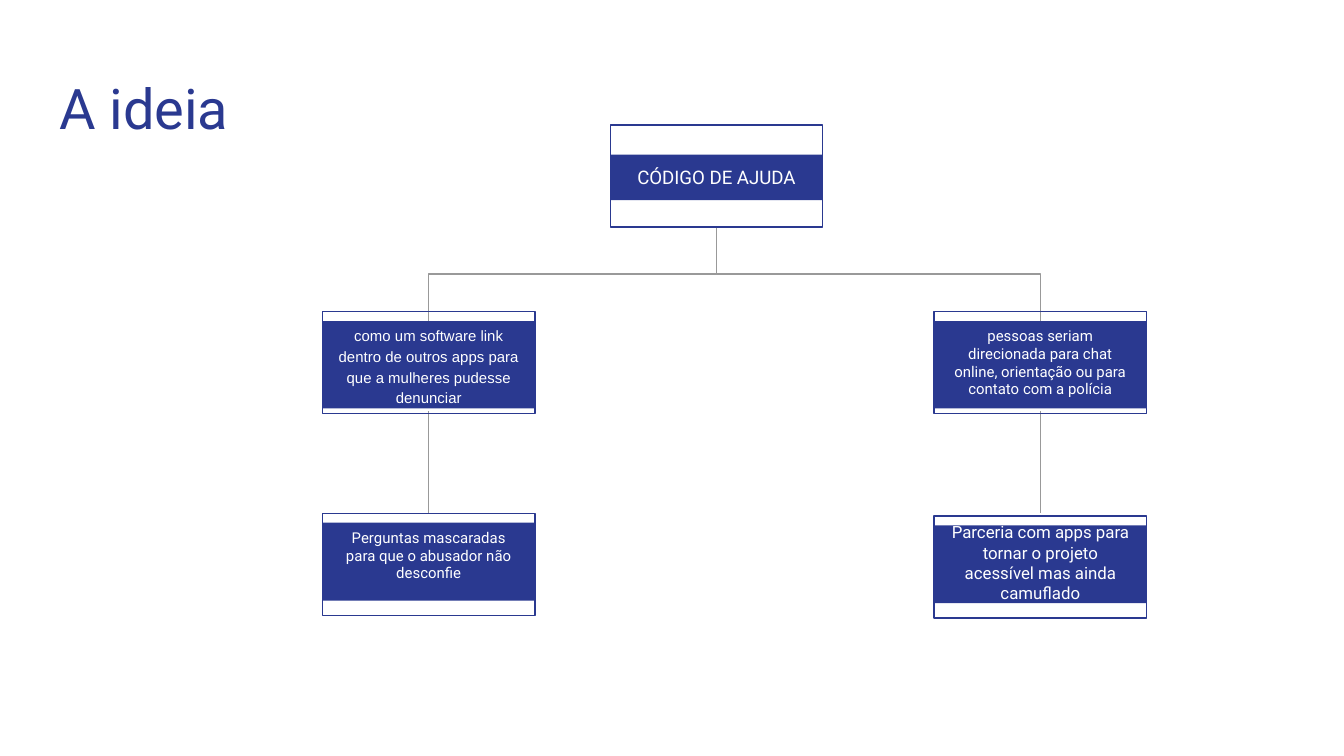
from dataclasses import dataclass

from lxml.etree import SubElement
from pptx import Presentation
from pptx.dml.color import RGBColor
from pptx.enum.shapes import MSO_CONNECTOR as Connector, MSO_SHAPE as Shape
from pptx.enum.text import MSO_ANCHOR as Anchor, MSO_AUTO_SIZE as AutoSize, PP_ALIGN as Align
from pptx.oxml.ns import qn
from pptx.util import Pt


@dataclass(frozen=True)
class Theme:
    navy: RGBColor = RGBColor(0x2A, 0x39, 0x90)
    white: RGBColor = RGBColor(0xFF, 0xFF, 0xFF)
    gray: RGBColor = RGBColor(0x99, 0x99, 0x99)
    font: str = "Roboto"
    title_size: float = 30
    root_size: float = 10
    branch_size: float = 8
    partner_size: float = 9
    line_width: float = 0.75
    inset: float = 7.2


@dataclass(frozen=True)
class Card:
    """A framed box with a filled band; all lengths are points."""
    text: str
    left: float
    top: float
    band_offset: float
    band_height: float
    label_top: float
    label_height: float
    size: float
    font: str = "Roboto"
    spacing: float = 1.0


THEME = Theme()
CARD_W, CARD_H = 113.8, 54.7
ROOT_X, LEFT_X, RIGHT_X = 326.9, 172.8, 500.4
ROOT_Y, BRANCH_Y, LEAF_Y = 67, 167, 275

CARDS = [
    Card("CÓDIGO DE AJUDA", ROOT_X, ROOT_Y, 15.8, 24.5, 87.1, 15.1, THEME.root_size),
    Card("como um software link dentro de outros apps para que a mulheres pudesse denunciar",
         LEFT_X, BRANCH_Y, 5, 46.8, 174.8, 42, THEME.branch_size, "Arial", 1.15),
    Card("pessoas seriam direcionada para chat online, orientação ou para contato com a polícia",
         RIGHT_X, BRANCH_Y, 5, 46.8, 174, 40, THEME.branch_size),
    Card("Parceria com apps para tornar o projeto acessível mas ainda camuflado",
         RIGHT_X, LEAF_Y + 1.4, 5, 41.8, 276.5, 49.7, THEME.partner_size),
    Card("Perguntas mascaradas para que o abusador não desconfie",
         LEFT_X, LEAF_Y, 5, 41.8, 279.4, 36, THEME.branch_size),
]


def write(frame, text: str, size: float, font: str, color: RGBColor,
          align: Align, anchor: Anchor, spacing: float = 1.0, inset_y: float = 0) -> None:
    frame.word_wrap = True
    frame.auto_size = AutoSize.NONE
    frame.vertical_anchor = anchor
    frame.margin_left = frame.margin_right = Pt(THEME.inset)
    frame.margin_top = frame.margin_bottom = Pt(inset_y)
    paragraph = frame.paragraphs[0]
    paragraph.alignment = align
    paragraph.line_spacing = spacing
    run = paragraph.add_run()
    run.text = text
    run.font.size, run.font.name = Pt(size), font
    run.font.color.rgb = color


def add_rect(shapes, left: float, top: float, height: float, filled: bool) -> None:
    rect = shapes.add_shape(Shape.RECTANGLE, Pt(left), Pt(top), Pt(CARD_W), Pt(height))
    rect.shadow.inherit = False
    if filled:
        rect.fill.solid()
        rect.fill.fore_color.rgb = THEME.navy
        rect.line.fill.background()
    else:
        rect.fill.background()
        rect.line.color.rgb = THEME.navy
        rect.line.width = Pt(THEME.line_width)


def add_card(shapes, card: Card) -> None:
    add_rect(shapes, card.left, card.top, CARD_H, filled=False)
    add_rect(shapes, card.left, card.top + card.band_offset, card.band_height, filled=True)
    label = shapes.add_textbox(Pt(card.left), Pt(card.label_top), Pt(CARD_W), Pt(card.label_height))
    write(label.text_frame, card.text, card.size, card.font, THEME.white,
          Align.CENTER, Anchor.MIDDLE, card.spacing)


def add_line(shapes, kind: Connector, x1: float, y1: float, x2: float, y2: float):
    line = shapes.add_connector(kind, Pt(x1), Pt(y1), Pt(x2), Pt(y2))
    line.line.color.rgb = THEME.gray
    line.line.width = Pt(THEME.line_width)
    SubElement(line._element.spPr, qn("a:effectLst"))
    return line


def add_drop(shapes, x1: float, y1: float, x2: float, y2: float) -> None:
    """An elbow that leaves downwards: laid out sideways, then turned a quarter."""
    mid_x, mid_y = (x1 + x2) / 2, (y1 + y2) / 2
    half_w, half_h = (y2 - y1) / 2, abs(x2 - x1) / 2
    side = 1 if x2 < x1 else -1
    elbow = add_line(shapes, Connector.ELBOW, mid_x - side * half_w, mid_y - half_h,
                     mid_x + side * half_w, mid_y + half_h)
    turn = 90 if side == 1 else 270
    elbow._element.spPr.find(qn("a:xfrm")).set("rot", str(turn * 60000))


def main() -> None:
    deck = Presentation()
    deck.slide_width, deck.slide_height = Pt(720), Pt(405)
    slide = deck.slides.add_slide(deck.slide_layouts[5])
    shapes = slide.shapes

    # Title
    title = shapes.title
    title.left, title.top, title.width, title.height = Pt(24.5), Pt(32.4), Pt(671), Pt(47.5)
    write(title.text_frame, "A ideia", THEME.title_size, THEME.font, THEME.navy,
          Align.LEFT, Anchor.TOP, inset_y=THEME.inset)

    # Lines from the root to each branch, and from each branch to its leaf
    half = CARD_W / 2
    for x in (LEFT_X, RIGHT_X):
        add_drop(shapes, ROOT_X + half, ROOT_Y + CARD_H, x + half, BRANCH_Y + 5)
        add_line(shapes, Connector.STRAIGHT, x + half, 220.3, x + half, LEAF_Y)

    # Cards of the tree
    for card in CARDS:
        add_card(shapes, card)

    deck.save("out.pptx")


if __name__ == "__main__":
    main()
